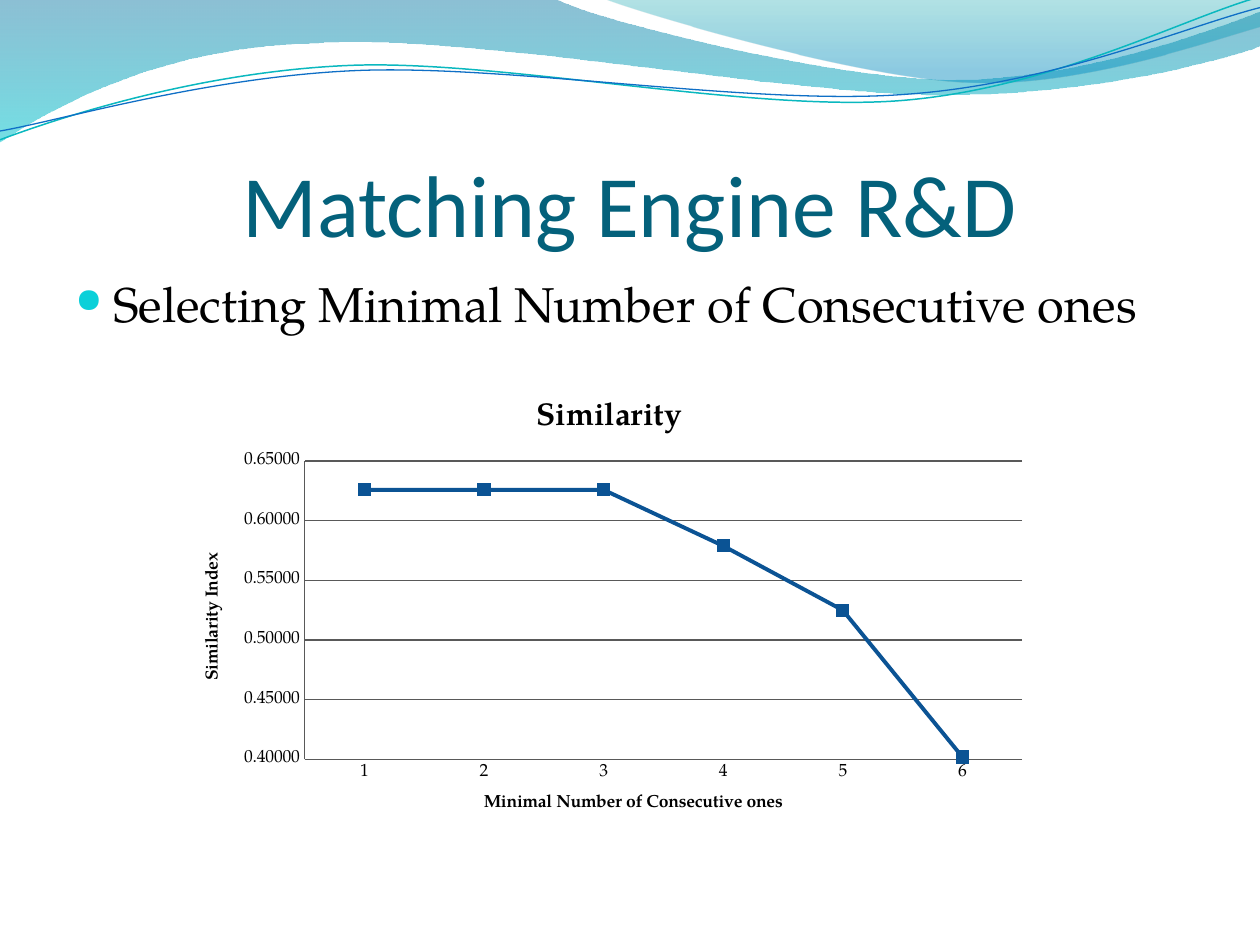
"""Build a slide with a wave header, a heading, one bullet and a similarity line chart."""
import math

from lxml import etree
from pptx import Presentation
from pptx import util as u
from pptx.chart.data import CategoryChartData
from pptx.dml.color import RGBColor
from pptx.enum import chart as charts, text
from pptx.oxml import parse_xml
from pptx.oxml.ns import nsdecls, qn

THEME = {
    "heading": "04617B", "ink": "000000", "bullet": "0BD0D9",
    "series": "0B5394", "grid": "595959",
    "heading_font": "Calibri", "body_font": "TeX Gyre Pagella",
    "heading_size": 50, "body_size": 27.9, "chart_title_size": 18, "chart_size": 10,
}
HEADING = "Matching Engine R&D"
BULLET = "Selecting Minimal Number of Consecutive ones"
CHART = {
    "title": "Similarity",
    "category_title": "Minimal Number of Consecutive ones",
    "value_title": "Similarity Index",
    "categories": ["1", "2", "3", "4", "5", "6"],
    "values": [0.626, 0.626, 0.626, 0.579, 0.525, 0.402],
    "layout": {"x": 0.146, "y": 0.18, "w": 0.834, "h": 0.645},
}
# Each path is a start point followed by segments: 2 numbers for a line, 6 for a curve.
BANDS = [
    ((-0.01, -0.01, 10.02, 1.14),
     [(0, 0), (4.4, -0.01), (4.76, 0.17, 6.64, 0.63, 7.58, 0.63),
      (8.53, 0.63, 9.58, 0.26, 10, 0.09), (10.01, 0.36),
      (9.83, 0.44, 8.7, 0.76, 7.46, 0.75), (6.22, 0.75, 3.82, 0.28, 2.57, 0.34),
      (1.29, 0.36, 0.46, 0.83, -0.01, 1.13), (0, 0)],
     [(0, "0074A1", 45), (1, "00C6CF", 55)]),
    ((4.79, -0.01, 5.21, 0.7),
     [(4.79, -0.01), (5.09, 0.11, 6.82, 0.62, 7.69, 0.65),
      (8.56, 0.69, 9.61, 0.32, 10, 0.21), (10, 0), (4.79, -0.01)],
     [(0, "00A1A9", 30), (0.8, "008BBF", 45)]),
]
STRANDS = [
    ((-0.02, 0.22, 10.02, 0.71),
     [(0, 1.11), (0.48, 0.93, 1.58, 0.57, 2.77, 0.52),
      (3.95, 0.47, 5.93, 0.89, 7.13, 0.8), (8.33, 0.71, 9.38, 0.15, 9.98, -0.02)],
     "0AB8BF", 0.85),
    ((-0.02, 0.3, 10.03, 0.58),
     [(0, 1.04), (0.47, 0.96, 1.64, 0.61, 2.83, 0.56),
      (4.03, 0.51, 5.97, 0.84, 7.17, 0.75), (8.36, 0.67, 9.41, 0.21, 10, 0.06)],
     "0F6FC6", 0.75),
]
STRAND_TILT = -2.7


def color(value):
    return RGBColor.from_string(value)


def style_font(font, size, bold=False, name=THEME["body_font"], ink=THEME["ink"]):
    font.size, font.bold, font.name = u.Pt(size), bold, name
    font.color.rgb = color(ink)


def local_points(segment, frame, tilt):
    left, top, width, height = frame
    turn = math.radians(-tilt)
    for x, y in zip(segment[::2], segment[1::2]):
        dx, dy = x - left - width / 2, y - top - height / 2
        yield (u.Inches(width / 2 + dx * math.cos(turn) - dy * math.sin(turn)),
               u.Inches(height / 2 + dx * math.sin(turn) + dy * math.cos(turn)))


def add_outline(page, frame, path, close, tilt=0):
    segments = [list(local_points(segment, frame, tilt)) for segment in path]
    builder = page.shapes.build_freeform(*segments[0][0])
    builder.add_line_segments([segment[-1] for segment in segments[1:]], close=close)
    shape = builder.convert_to_shape()
    shape.left, shape.top, shape.width, shape.height = map(u.Inches, frame)
    shape.rotation = tilt % 360
    shape.shadow.inherit = False

    outline = next(shape._element.iter(qn("a:path")))
    outline.set("w", str(shape.width))
    outline.set("h", str(shape.height))
    for step in list(outline):
        outline.remove(step)
    for index, points in enumerate(segments):
        kind = "moveTo" if index == 0 else "lnTo" if len(points) == 1 else "cubicBezTo"
        step = etree.SubElement(outline, qn(f"a:{kind}"))
        for x, y in points:
            etree.SubElement(step, qn("a:pt"), x=str(x), y=str(y))
    if close:
        etree.SubElement(outline, qn("a:close"))
    return shape


def add_band(page, frame, path, stops):
    shape = add_outline(page, frame, path, True)
    shape.line.fill.background()
    shape.fill.gradient()
    shape.fill.gradient_angle = 270
    for stop, (position, value, _) in zip(shape.fill.gradient_stops, stops):
        stop.position = position
        stop.color.rgb = color(value)
    for node, (_, _, opacity) in zip(shape._element.spPr.iter(qn("a:srgbClr")), stops):
        etree.SubElement(node, qn("a:alpha")).set("val", str(opacity * 1000))


def add_strand(page, frame, path, value, width):
    shape = add_outline(page, frame, path, False, STRAND_TILT)
    shape.fill.background()
    shape.line.color.rgb = color(value)
    shape.line.width = u.Pt(width)


def add_text(page, place, words, size, **look):
    box = page.shapes.add_textbox(*map(u.Inches, place))
    box.text_frame.word_wrap = True
    para = box.text_frame.paragraphs[0]
    span = para.add_run()
    span.text = words
    style_font(span.font, size, **look)
    return box.text_frame, para


def add_heading(page):
    frame, para = add_text(page, (0.5, 0.77, 9, 1.25), HEADING, THEME["heading_size"],
                           name=THEME["heading_font"], ink=THEME["heading"])
    frame.margin_left = frame.margin_right = frame.margin_bottom = 0
    frame.vertical_anchor = text.MSO_ANCHOR.BOTTOM
    para.alignment = text.PP_ALIGN.CENTER


def add_bullet(page):
    _, para = add_text(page, (0.5, 2.12, 9, 5.13), BULLET, THEME["body_size"])
    props = para._p.get_or_add_pPr()
    props.set("marL", str(u.Inches(0.3)))
    props.set("indent", str(u.Inches(-0.3)))
    for markup in (f'<a:buClr {nsdecls("a")}><a:srgbClr val="{THEME["bullet"]}"/></a:buClr>',
                   f'<a:buSzPct {nsdecls("a")} val="70000"/>',
                   f'<a:buChar {nsdecls("a")} char="●"/>'):
        props.append(parse_xml(markup))


def add_title(owner, words, size):
    span = owner.text_frame.paragraphs[0].add_run()
    span.text = words
    style_font(span.font, size, bold=True)


def add_similarity_chart(page):
    data = CategoryChartData(number_format="0.00000")
    data.categories = CHART["categories"]
    data.add_series(CHART["title"], CHART["values"])
    chart = page.shapes.add_chart(charts.XL_CHART_TYPE.LINE_MARKERS,
                                  *map(u.Inches, (1.42, 3, 6.83, 3.67)), data).chart
    style_font(chart.font, THEME["chart_size"])
    chart.has_legend = False
    chart.has_title = True
    add_title(chart.chart_title, CHART["title"], THEME["chart_title_size"])
    plot = chart.plots[0]
    plot.vary_by_categories = False

    values, categories = chart.value_axis, chart.category_axis
    for axis, words in ((categories, CHART["category_title"]), (values, CHART["value_title"])):
        axis.major_tick_mark = axis.minor_tick_mark = charts.XL_TICK_MARK.NONE
        add_title(axis.axis_title, words, THEME["chart_size"])
    values.minimum_scale, values.maximum_scale, values.major_unit = 0.4, 0.65, 0.05
    values.tick_labels.number_format = "0.00000"
    values.tick_labels.number_format_is_linked = False
    values.has_major_gridlines = True
    for ruled in (categories, values, values.major_gridlines):
        ruled.format.line.color.rgb = color(THEME["grid"])
        ruled.format.line.width = u.Pt(0.75)

    series = plot.series[0]
    series.smooth = False
    series.format.line.width = u.Pt(2.25)
    series.marker.style, series.marker.size = charts.XL_MARKER_STYLE.SQUARE, 7
    series.marker.format.fill.solid()
    for paint in (series.format.line, series.marker.format.line):
        paint.color.rgb = color(THEME["series"])
    series.marker.format.fill.fore_color.rgb = color(THEME["series"])

    area = chart._chartSpace.chart.plotArea
    for old in area.findall(qn("c:layout")):
        area.remove(old)
    sides = "".join(f'<c:{side} val="{share}"/>' for side, share in CHART["layout"].items())
    area.insert(0, parse_xml(
        f'<c:layout {nsdecls("c")}><c:manualLayout><c:layoutTarget val="inner"/>'
        f'<c:xMode val="edge"/><c:yMode val="edge"/>{sides}</c:manualLayout></c:layout>'))


def main():
    deck = Presentation()
    deck.slide_width, deck.slide_height = u.Inches(10), u.Inches(7.5)
    page = deck.slides.add_slide(deck.slide_layouts[6])
    for band in BANDS:
        add_band(page, *band)
    for strand in STRANDS:
        add_strand(page, *strand)
    add_heading(page)
    add_bullet(page)
    add_similarity_chart(page)
    deck.save("out.pptx")


if __name__ == "__main__":
    main()
